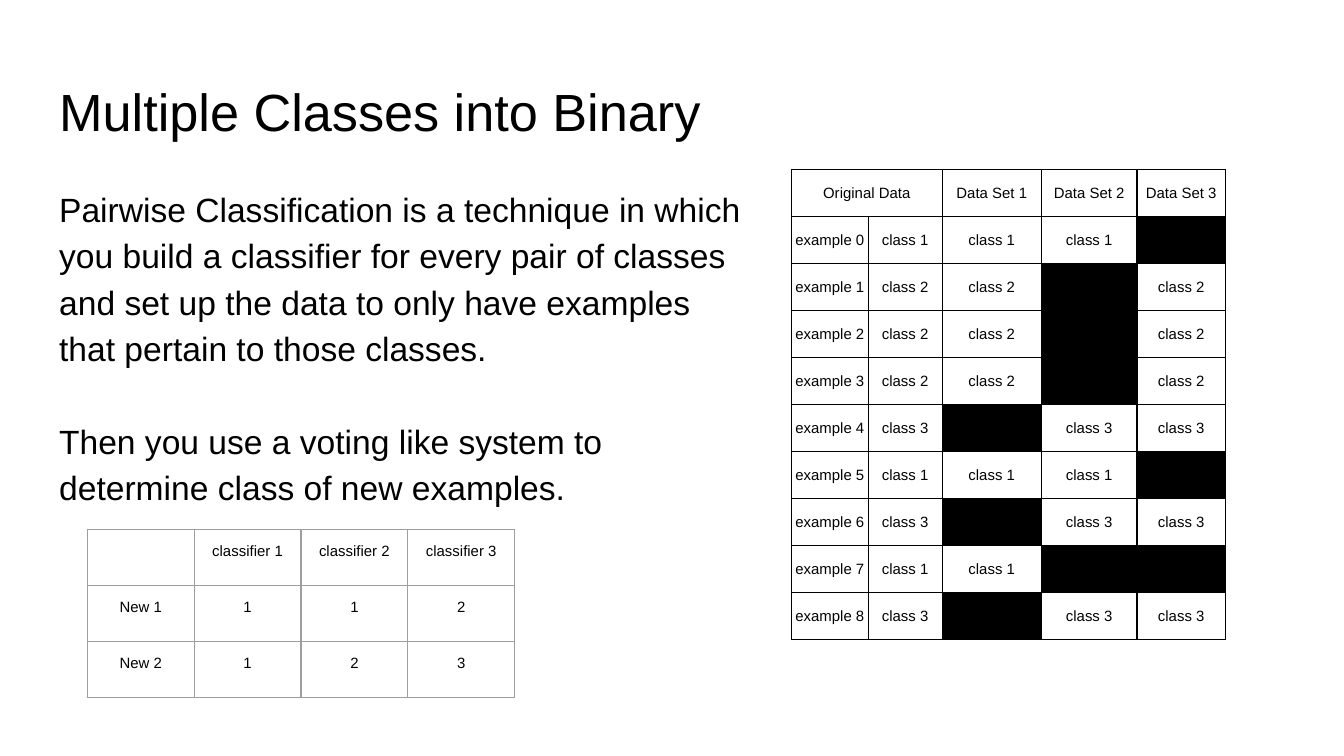
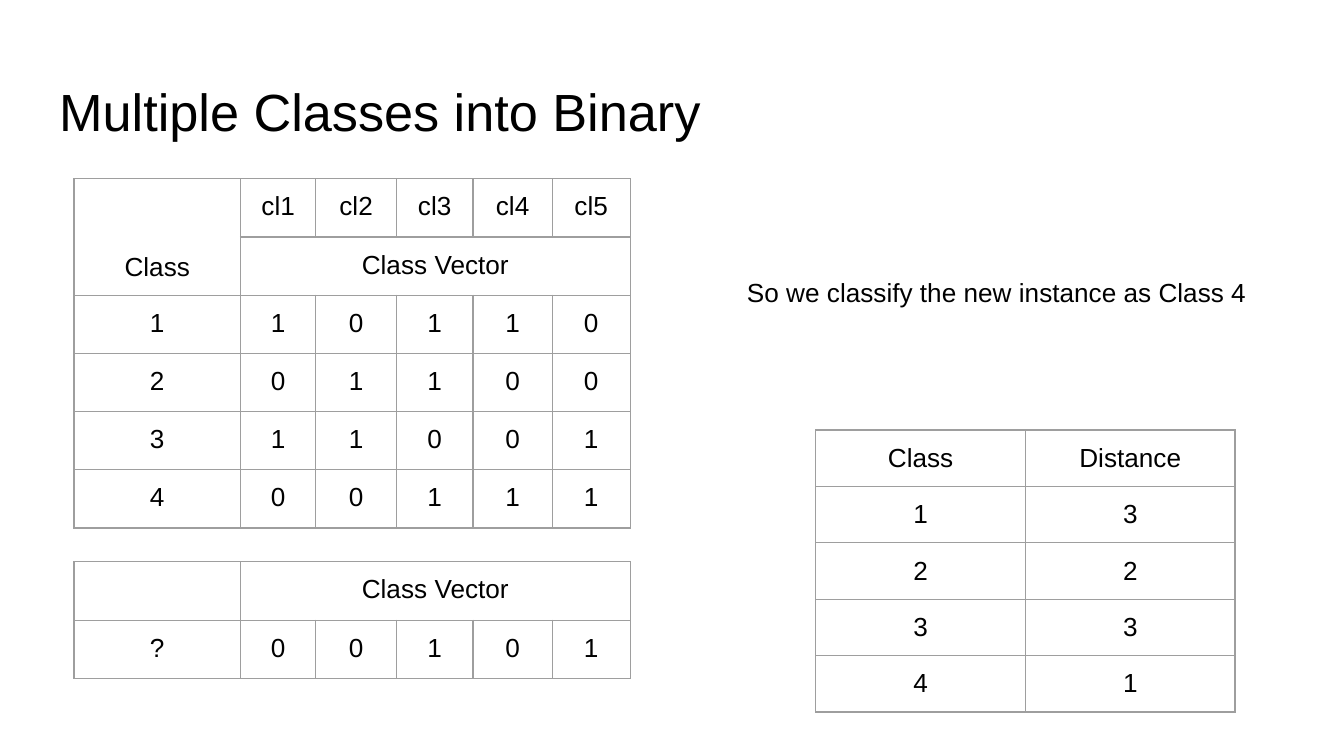
from lxml import etree
from pptx import Presentation
from pptx.dml.color import RGBColor
from pptx.enum.text import MSO_ANCHOR, MSO_AUTO_SIZE, PP_ALIGN
from pptx.oxml.ns import qn
from pptx.util import Inches, Pt

LEFT, CENTER = PP_ALIGN.LEFT, PP_ALIGN.CENTER
TOP, MIDDLE, BOTTOM = MSO_ANCHOR.TOP, MSO_ANCHOR.MIDDLE, MSO_ANCHOR.BOTTOM
NO_FIT = MSO_AUTO_SIZE.NONE

COLORS = {"ink": "000000", "grid": "9E9E9E", "paper": "FFFFFF"}
FONT = "Arial"
INSET = 0.1
PLAIN_TABLE = "{2D5ABB26-0587-4C30-8999-92F81FD0307C}"
TITLE_BODY, TITLE_ONLY = 1, 5

TITLE = "Multiple Classes into Binary"
TITLE_BOX = (0.34, 0.49, 9.32, 0.63)
BODY = [
    "Pairwise Classification is a technique in which you build a classifier "
    "for every pair of classes and set up the data to only have examples "
    "that pertain to those classes.",
    "Then you use a voting like system to determine class of new examples.",
]

# Class of each example, then its class in each data set (0 = left out)
PAIRWISE = ["1110", "2202", "2202", "2202", "3033",
            "1110", "3033", "1100", "3033"]
VECTORS = ["10110", "01100", "11001", "00111"]
NEW_VECTOR = "00101"
DISTANCES = "3231"
VECTOR_COLS = [1.24, 0.56, 0.6, 0.57, 0.59, 0.58]


def rgb(name):
    return RGBColor.from_string(COLORS[name])


def write(tf, text, size=14, align=LEFT, spacing=1.0, gap=0):
    """Fill a text frame with one paragraph per item of text."""
    for i, line in enumerate([text] if isinstance(text, str) else text):
        p = tf.add_paragraph() if i else tf.paragraphs[0]
        p.alignment, p.line_spacing = align, spacing
        p.space_before, p.space_after = Pt(gap if i else 0), Pt(0)
        r = p.add_run()
        r.text = line
        r.font.size, r.font.name = Pt(size), FONT
        r.font.color.rgb = rgb("ink")


def frame(sp, box):
    """Place a text shape and give it the shared insets."""
    sp.left, sp.top, sp.width, sp.height = map(Inches, box)
    tf = sp.text_frame
    tf.word_wrap, tf.auto_size, tf.vertical_anchor = True, NO_FIT, TOP
    tf.margin_left = tf.margin_right = Inches(INSET)
    tf.margin_top = tf.margin_bottom = Inches(INSET)
    return tf


def add_slide(prs, layout):
    s = prs.slides.add_slide(prs.slide_layouts[layout])
    s.background.fill.solid()
    s.background.fill.fore_color.rgb = rgb("paper")
    write(frame(s.shapes.title, TITLE_BOX), TITLE, size=28)
    return s


def add_body(s, box, text):
    tf = frame(s.placeholders[1], box)
    write(tf, text, size=18, spacing=1.15, gap=25)
    for p in tf.paragraphs:
        pPr = p._p.get_or_add_pPr()
        pPr.set("marL", "0")
        pPr.set("indent", "0")
        etree.SubElement(pPr, qn("a:buNone"))


def set_borders(cell, color):
    tcPr = cell._tc.get_or_add_tcPr()
    for side in ("lnL", "lnR", "lnT", "lnB"):
        ln = etree.SubElement(tcPr, qn("a:" + side), w=str(Pt(0.75)))
        fill = etree.SubElement(ln, qn("a:solidFill"))
        etree.SubElement(fill, qn("a:srgbClr"), val=COLORS[color])


def add_grid(s, left, top, cols, height, rows, size=14, border="grid",
             inset=INSET, anchor=TOP, merges=()):
    """Add a table with equal rows; None is blacked out, "" is empty."""
    table = s.shapes.add_table(
        len(rows), len(cols), Inches(left), Inches(top),
        Inches(sum(cols)), Inches(height)).table
    table.first_row = table.horz_banding = False
    table._tbl.tblPr[0].text = PLAIN_TABLE
    for col, width in zip(table.columns, cols):
        col.width = Inches(width)
    for row, values in zip(table.rows, rows):
        row.height = Inches(height / len(rows))
        for cell, value in zip(row.cells, values):
            set_borders(cell, border)
            margin = Inches(inset if value else 0)
            cell.margin_left = cell.margin_right = margin
            cell.margin_top = cell.margin_bottom = margin
            cell.vertical_anchor = anchor
            if value is None:
                cell.fill.solid()
                cell.fill.fore_color.rgb = rgb("ink")
            else:
                cell.fill.background()
            if value:
                write(cell.text_frame, value, size=size, align=CENTER)
    for first, last in merges:
        table.cell(*first).merge(table.cell(*last))
    return table


def pairwise_slide(prs):
    s = add_slide(prs, TITLE_BODY)
    add_body(s, (0.34, 1.26, 5.31, 3.74), BODY)

    # Data sets, one for each pair of classes
    rows = [["Original Data", ""] + [f"Data Set {n}" for n in (1, 2, 3)]]
    for i, classes in enumerate(PAIRWISE):
        rows.append([f"example {i}"] + [
            None if c == "0" else f"class {c}" for c in classes])
    add_grid(s, 5.89, 1.26, [0.57, 0.55, 0.74, 0.71, 0.66], 3.5, rows,
             size=8, border="ink", inset=0, anchor=MIDDLE,
             merges=[((0, 0), (0, 1))])

    # Votes on the new examples
    votes = [[""] + [f"classifier {n}" for n in (1, 2, 3)],
             ["New 1", *"112"], ["New 2", *"123"]]
    add_grid(s, 0.65, 3.94, [3.18 / 4] * 4, 1.25, votes, size=8)


def vector_slide(prs):
    s = add_slide(prs, TITLE_ONLY)
    vector_head = ["", "Class Vector", "", "", "", ""]

    # Class vectors
    rows = [["Class"] + [f"cl{n}" for n in range(1, 6)], vector_head]
    rows += [[str(n), *bits] for n, bits in enumerate(VECTORS, 1)]
    table = add_grid(s, 0.55, 1.33, VECTOR_COLS, 2.6, rows,
                     merges=[((0, 0), (1, 0)), ((1, 1), (1, 5))])
    table.cell(0, 0).vertical_anchor = BOTTOM

    # New instance
    add_grid(s, 0.55, 4.18, VECTOR_COLS, 0.87,
             [vector_head, ["?", *NEW_VECTOR]], merges=[((0, 1), (0, 5))])

    # Distances to each class and the conclusion
    distances = [[str(n), d] for n, d in enumerate(DISTANCES, 1)]
    add_grid(s, 6.07, 3.2, [1.56] * 2, 2.1, [["Class", "Distance"]] + distances)
    box = (5.46, 1.96, 4, 0.38)
    sp = s.shapes.add_textbox(*map(Inches, box))
    write(frame(sp, box), "So we classify the new instance as Class 4")


def main():
    prs = Presentation()
    prs.slide_width = Inches(10)
    prs.slide_height = prs.slide_width * 9 // 16
    pairwise_slide(prs)
    vector_slide(prs)
    prs.save("out.pptx")


main()
